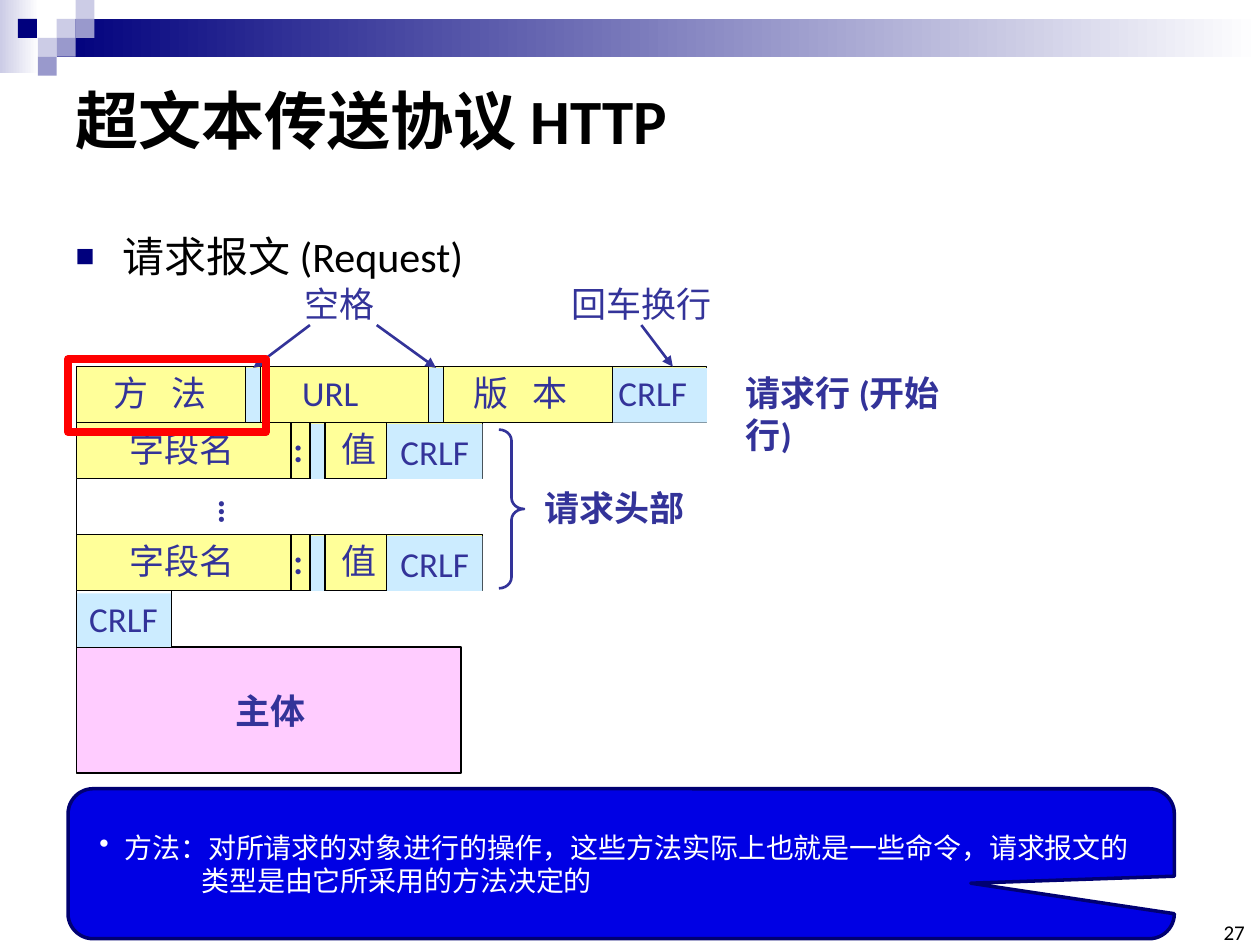
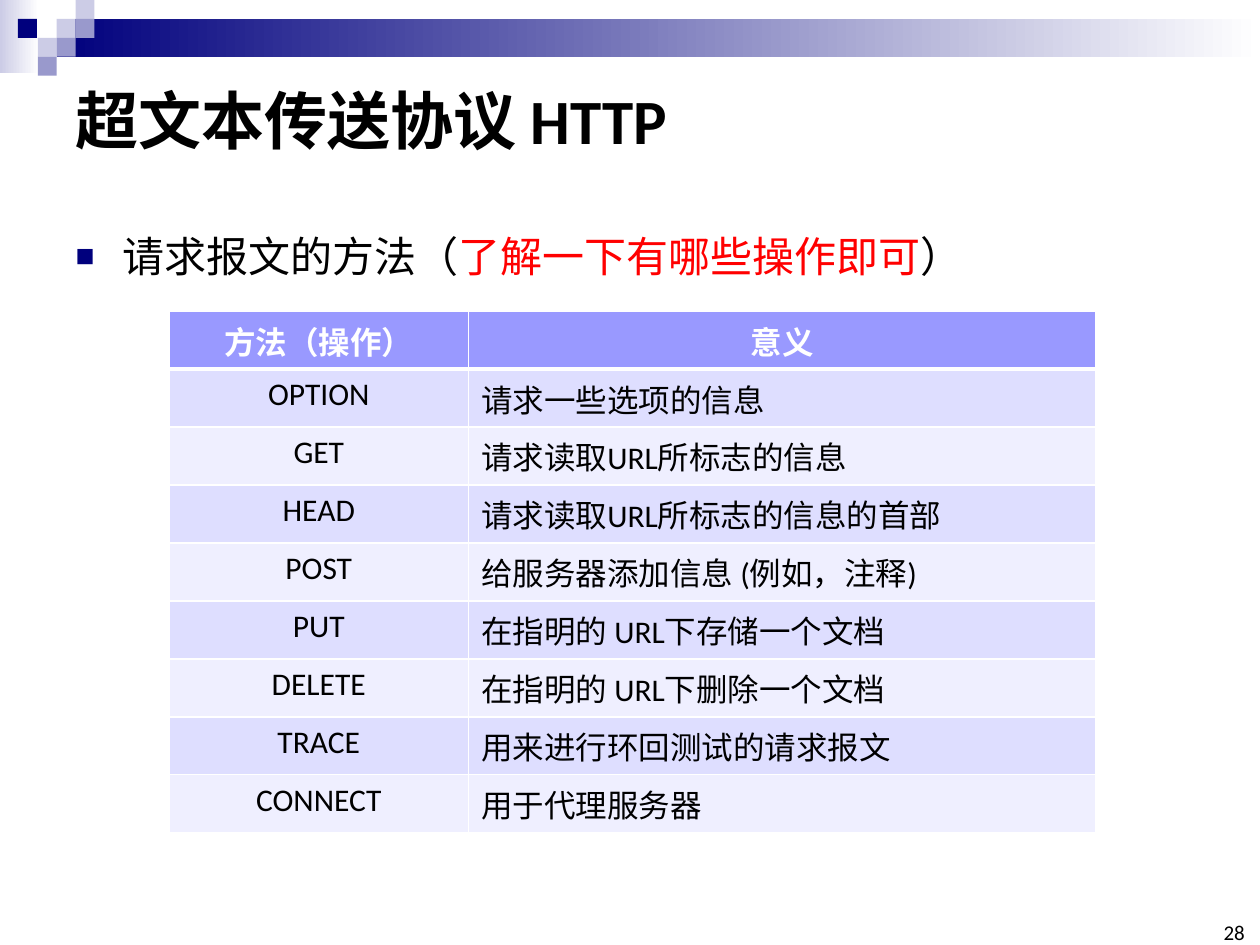
from dataclasses import dataclass
from lxml.etree import SubElement
from pptx import Presentation
from pptx.dml.color import RGBColor
from pptx.enum.lang import MSO_LANGUAGE_ID
from pptx.enum.shapes import MSO_CONNECTOR, MSO_SHAPE
from pptx.enum.text import MSO_ANCHOR, MSO_AUTO_SIZE, PP_ALIGN
from pptx.oxml.ns import qn
from pptx.util import Inches, Pt


@dataclass(frozen=True)
class Theme:
    font: str = "Calibri"
    black: str = "000000"
    white: str = "FFFFFF"
    red: str = "FF0000"
    navy: str = "00007D"
    mid: str = "9999CC"
    pale: str = "CCCCE6"
    ink: str = "333399"
    field: str = "FFFF99"
    gap: str = "CCECFF"
    content: str = "FFCCFF"
    note: str = "0000E4"
    note_line: str = "000072"
    head: str = "9999FF"
    bands: tuple = ("DEDEFF", "EFEFFF")
    title_pt: int = 36
    body_pt: int = 24
    label_pt: int = 20
    table_pt: int = 18
    note_pt: int = 16
    page_pt: int = 12


T = Theme()
TITLE = "超文本传送协议 HTTP"
TILE = 0.15
TILES = [(3, 1, T.pale), (4, 0, T.pale), (4, 1, T.mid), (2, 2, T.pale),
         (0.95, 1, T.navy), (3, 2, T.mid), (2, 3, T.mid)]

LEFT, TOP, ROW = 0.61, 2.91, 0.445
REQUEST_EDGES = [LEFT, 1.95, 2.07, 3.4, 3.52, 4.86, 5.61]
HEADER_EDGES = [LEFT, 2.31, 2.46, 2.58, 3.07, 3.83]
REQUEST_LABELS = [("方 法", 0.8, 0.99), ("URL", 2.3, 0.65), ("版 本", 3.66, 0.99), ("CRLF", 4.81, 0.75)]
HEADER_LABELS = [("字段名", 0.93, 1.04), (":", 2.23, 0.28), ("值", 2.61, 0.48), ("CRLF", 3.08, 0.75)]
MESSAGE_ROWS = [(0, REQUEST_EDGES, (1, 3, 5), REQUEST_LABELS),
                (1, HEADER_EDGES, (2, 4), HEADER_LABELS),
                (3, HEADER_EDGES, (2, 4), HEADER_LABELS)]
NOTE = [("方法：对所请求的对象进行的操作，这些方法实际上也就是一些命令，请求报文的", 0.31, -0.2, "•"),
        ("类型是由它所采用的方法决定的", 0.92, 0, None)]

METHODS = [("方法（操作）", "意义"),
           ("OPTION", "请求一些选项的信息"),
           ("GET", "请求读取URL所标志的信息"),
           ("HEAD", "请求读取URL所标志的信息的首部"),
           ("POST", "给服务器添加信息 (例如，注释)"),
           ("PUT", "在指明的 URL下存储一个文档"),
           ("DELETE", "在指明的 URL下删除一个文档"),
           ("TRACE", "用来进行环回测试的请求报文"),
           ("CONNECT", "用于代理服务器")]
METHOD_COLS = (2.38, 4.98)
METHOD_ROW = 0.46


def rgb(color):
    return RGBColor.from_string(color)


def box(x, y, w, h):
    return [Inches(v) for v in (x, y, w, h)]


def add_run(p, text, size, color, bold=False):
    r = p.add_run()
    r.text = text
    f = r.font
    f.name, f.size, f.bold = T.font, Pt(size), bold
    f.color.rgb = rgb(color)
    f.language_id = MSO_LANGUAGE_ID.SIMPLIFIED_CHINESE
    return r


def indent(p, left, first, char=None, color=None, share=100):
    pPr = p._p.get_or_add_pPr()
    pPr.set("marL", str(Inches(left)))
    pPr.set("indent", str(Inches(first)))
    if color:
        SubElement(SubElement(pPr, qn("a:buClr")), qn("a:srgbClr")).set("val", color)
    if char:
        SubElement(pPr, qn("a:buSzPct")).set("val", str(share * 1000))
        SubElement(pPr, qn("a:buChar")).set("char", char)


def add_box(s, x, y, w, h, fill=None, line=None, width=0.75, kind=MSO_SHAPE.RECTANGLE):
    sp = s.shapes.add_shape(kind, *box(x, y, w, h))
    sp.shadow.inherit = False
    if isinstance(fill, tuple):
        sp.fill.gradient()
        sp.fill.gradient_angle = 0
        for stop, color in zip(sp.fill.gradient_stops, fill):
            stop.color.rgb = rgb(color)
    elif fill:
        sp.fill.solid()
        sp.fill.fore_color.rgb = rgb(fill)
    else:
        sp.fill.background()
    if line:
        sp.line.color.rgb = rgb(line)
        sp.line.width = Pt(width)
    else:
        sp.line.fill.background()
    return sp


def add_line(s, x1, y1, x2, y2, color=T.black, width=0.75, arrow=False):
    c = s.shapes.add_connector(MSO_CONNECTOR.STRAIGHT, *box(x1, y1, x2, y2))
    c.line.color.rgb = rgb(color)
    c.line.width = Pt(width)
    if arrow:
        SubElement(c.line._get_or_add_ln(), qn("a:tailEnd")).set("type", "triangle")
    SubElement(c._element.spPr, qn("a:effectLst"))
    return c


def add_label(s, text, x, y, w, h=0.44, bold=False, wrap=False):
    sp = s.shapes.add_textbox(*box(x, y, w, h))
    tf = sp.text_frame
    tf.word_wrap = wrap
    p = tf.paragraphs[0]
    head, space, tail = text.partition(" ")
    if space and not bold:
        r = add_run(p, head + space, T.label_pt, T.ink)
        r._r.get_or_add_rPr().set("spc", "450")
        text = tail
    add_run(p, text, T.label_pt, T.ink, bold)
    return sp


def new_slide(prs, page, bullet):
    s = prs.slides.add_slide(prs.slide_layouts[1])
    add_box(s, 0, 0, 0.31, 0.58, (T.pale, T.white))
    add_box(s, 3 * TILE, TILE, 10 - 3 * TILE, 2 * TILE, (T.navy, T.white))
    for col, row, color in TILES:
        add_box(s, col * TILE, row * TILE, TILE, TILE, color)

    title, body = s.placeholders
    title.left, title.top, title.width, title.height = box(0.5, 0.5, 9, 0.89)
    title.text_frame.vertical_anchor = MSO_ANCHOR.MIDDLE
    p = title.text_frame.paragraphs[0]
    p.alignment = PP_ALIGN.LEFT
    add_run(p, TITLE, T.title_pt, T.black, True)

    body.left, body.top, body.width, body.height = box(0.5, 1.58, 9.38, 0.7)
    body.text_frame.auto_size = MSO_AUTO_SIZE.NONE
    p = body.text_frame.paragraphs[0]
    indent(p, 0.37, -0.37, "■", T.navy, 75)
    p.line_spacing, p.space_before = 1.5, Pt(4.8)
    for text, color in bullet:
        add_run(p, text, T.body_pt, color)

    tf = s.shapes.add_textbox(*box(9.65, 7.33, 0.23, 0.17)).text_frame
    tf.margin_left = tf.margin_right = tf.margin_top = tf.margin_bottom = 0
    tf.word_wrap, tf.vertical_anchor = True, MSO_ANCHOR.BOTTOM
    p = tf.paragraphs[0]
    p.alignment = PP_ALIGN.RIGHT
    add_run(p, str(page), T.page_pt, T.black)
    return s


def add_message_row(s, row, edges, gaps, labels):
    y = TOP + row * ROW
    add_box(s, LEFT, y, edges[-1] - LEFT, ROW, T.field, T.black)
    cells = [add_box(s, edges[i], y + 0.01, edges[i + 1] - edges[i], ROW - 0.01, T.gap) for i in gaps]
    for x in edges[1:-1]:
        add_line(s, x, y, x, y + ROW)
    for text, x, w in labels:
        add_label(s, text, x, y - 0.01 + (0.02 if row and text == "CRLF" else 0), w, bold=text == ":")
    return cells


def add_note(s):
    sp = add_box(s, 0.54, 6.26, 8.78, 1.19, T.note, T.note_line, 2,
                 MSO_SHAPE.ROUNDED_RECTANGULAR_CALLOUT)
    for i, value in enumerate((0.316, 0.13, 0.167)):
        sp.adjustments[i] = value
    tf = sp.text_frame
    tf.word_wrap, tf.vertical_anchor = True, MSO_ANCHOR.MIDDLE
    tf.margin_left = tf.margin_right = Inches(0.08)
    for i, (text, left, first, char) in enumerate(NOTE):
        p = tf.add_paragraph() if i else tf.paragraphs[0]
        p.alignment = PP_ALIGN.LEFT
        indent(p, left, first, char)
        add_run(p, text, T.note_pt, T.white)


def request_slide(prs):
    s = new_slide(prs, 27, [("请求报文 (Request)", T.black)])
    add_label(s, "空格", 2.32, 2.19, 0.76)
    add_label(s, "回车换行", 4.44, 2.19, 1.31)

    crlf_y, body_y = TOP + 4 * ROW, TOP + 5 * ROW
    add_box(s, LEFT, body_y, 3.05, 1, T.content, T.black)
    add_label(s, "主体", 1.77, 5.42, 0.76, bold=True)
    add_box(s, LEFT, crlf_y + 0.02, 0.75, ROW - 0.02, T.gap)
    for x in (LEFT, LEFT + 0.75):
        add_line(s, x, crlf_y, x, body_y)
    add_label(s, "CRLF", LEFT, crlf_y, 0.75)

    first_gap, second_gap, _ = [add_message_row(s, *row) for row in MESSAGE_ROWS][0]
    add_line(s, LEFT, TOP + 2 * ROW, LEFT, TOP + 3 * ROW)
    add_label(s, "…", 1.47, 3.84, 0.4, bold=True).rotation = 270
    for x, gap in ((2.46, first_gap), (2.99, second_gap)):
        add_line(s, x, 2.58, x, TOP, T.ink, 1.5, True).end_connect(gap, 0)
    add_line(s, 5.09, 2.58, 5.34, TOP, T.ink, 1.5, True)

    add_label(s, "请求行 (开始行)", 5.82, 2.9, 2.05, bold=True, wrap=True)
    add_label(s, "请求头部", 4.22, 3.81, 1.32, bold=True)
    brace = add_box(s, 3.96, 3.41, 0.2, 1.26, None, T.ink, 1.5, MSO_SHAPE.RIGHT_BRACE)
    brace.adjustments[0] = 0.44
    add_note(s)
    add_box(s, 0.54, 2.85, 1.57, 0.58, None, T.red, 4.5)


def add_border(cell, side, width):
    ln = SubElement(cell._tc.get_or_add_tcPr(), qn(f"a:ln{side}"), w=str(Pt(width)))
    SubElement(SubElement(ln, qn("a:solidFill")), qn("a:srgbClr")).set("val", T.white)


def methods_slide(prs):
    s = new_slide(prs, 28, [("请求报文的方法（", T.black), ("了解一下有哪些操作即可", T.red), ("）", T.black)])
    table = s.shapes.add_table(len(METHODS), 2, *box(
        1.34, 2.47, sum(METHOD_COLS), METHOD_ROW * len(METHODS))).table
    for col, width in zip(table.columns, METHOD_COLS):
        col.width = Inches(width)
    for i, texts in enumerate(METHODS):
        table.rows[i].height = Inches(METHOD_ROW)
        for j, text in enumerate(texts):
            cell = table.cell(i, j)
            for side in "LRTB":
                add_border(cell, side, 3 if (i, side) in ((0, "B"), (1, "T")) else 1)
            cell.fill.solid()
            cell.fill.fore_color.rgb = rgb(T.bands[(i - 1) % 2] if i else T.head)
            p = cell.text_frame.paragraphs[0]
            p.alignment = PP_ALIGN.LEFT if i and j else PP_ALIGN.CENTER
            add_run(p, text, T.table_pt, T.black if i else T.white, i == 0)


def main():
    """Build the two HTTP request slides."""
    prs = Presentation()
    prs.slide_width, prs.slide_height = Inches(10), Inches(7.5)
    request_slide(prs)
    methods_slide(prs)
    prs.save("out.pptx")


if __name__ == "__main__":
    main()
